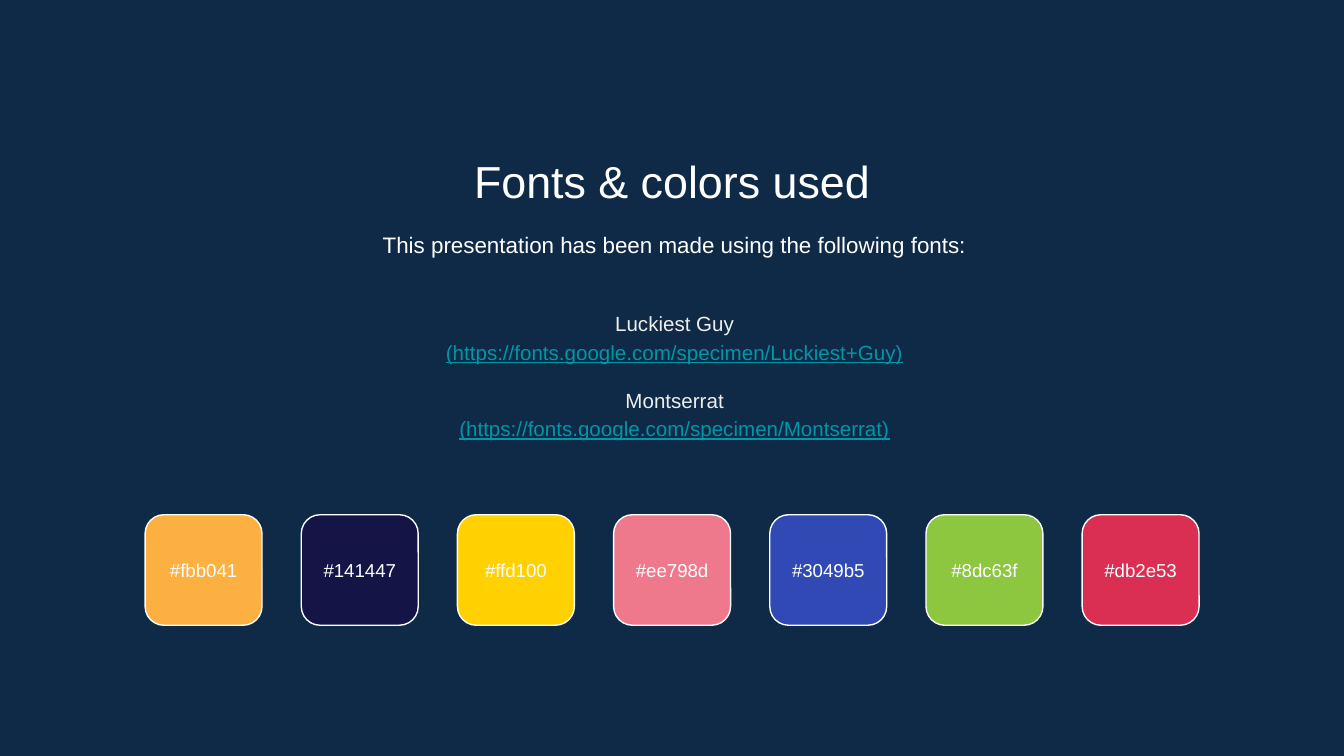
from pptx import Presentation
from pptx.dml.color import RGBColor
from pptx.enum.shapes import MSO_SHAPE
from pptx.enum.text import MSO_ANCHOR, PP_ALIGN
from pptx.util import Inches, Pt

SLIDE_WIDTH = Inches(10)
SLIDE_HEIGHT = SLIDE_WIDTH * 9 // 16
FONT = "Arial"
WHITE, PALE, TEAL, NAVY = "FFFFFF", "EEEEEE", "0097A7", "0E2A47"

PALETTE = ["fbb041", "141447", "ffd100", "ee798d", "3049b5", "8dc63f", "db2e53"]
FONT_SOURCES = [
    ("Luckiest Guy", "(https://fonts.google.com/specimen/Luckiest+Guy)"),
    ("Montserrat", "(https://fonts.google.com/specimen/Montserrat)"),
]

# Swatch row, in percent of the slide's width or height
SWATCH_LEFT, SWATCH_PITCH, SWATCH_WIDTH = 10.8, 11.62, 8.7
SWATCH_TOP, SWATCH_HEIGHT = 68.09, 14.62
LABEL_HEIGHT = 8.53
LABEL_TOP = SWATCH_TOP + (SWATCH_HEIGHT - LABEL_HEIGHT) / 2


def color(hex_code):
    return RGBColor.from_string(hex_code.upper())


def place(left, top, width, height):
    """Turn percentages of the slide into a box in EMU."""
    return (
        int(SLIDE_WIDTH * left / 100),
        int(SLIDE_HEIGHT * top / 100),
        int(SLIDE_WIDTH * width / 100),
        int(SLIDE_HEIGHT * height / 100),
    )


def style_paragraph(paragraph, size, hex_code, spacing=None, underline=None):
    paragraph.alignment = PP_ALIGN.CENTER
    paragraph.line_spacing = spacing
    for run in paragraph.runs:
        run.font.name = FONT
        run.font.size = Pt(size)
        run.font.color.rgb = color(hex_code)
        run.font.underline = underline


def add_text(slide, box, text, size, anchor=MSO_ANCHOR.TOP, spacing=None):
    """Add a centred white text box and return its frame."""
    frame = slide.shapes.add_textbox(*place(*box)).text_frame
    frame.word_wrap = True
    frame.vertical_anchor = anchor
    frame.margin_left = frame.margin_right = Inches(0.1)
    frame.margin_top = frame.margin_bottom = Inches(0.1)
    frame.text = text
    for paragraph in frame.paragraphs:
        style_paragraph(paragraph, size, WHITE, spacing)
    return frame


def add_font_list(slide, box):
    lines = [line for source in FONT_SOURCES for line in source]
    frame = add_text(slide, box, "\n".join(lines), 11, MSO_ANCHOR.MIDDLE, 1.15)
    names, links = frame.paragraphs[::2], frame.paragraphs[1::2]
    for name, link in zip(names, links):
        style_paragraph(name, 11, PALE, 1.15)
        style_paragraph(link, 11, TEAL, 1.15, underline=True)
    for name in names[1:]:
        name.space_before = Pt(10.7)


def add_swatch(slide, column, hex_code):
    left = SWATCH_LEFT + column * SWATCH_PITCH
    swatch = slide.shapes.add_shape(
        MSO_SHAPE.ROUNDED_RECTANGLE,
        *place(left, SWATCH_TOP, SWATCH_WIDTH, SWATCH_HEIGHT),
    )
    swatch.shadow.inherit = False
    swatch.adjustments[0] = 0.17
    swatch.fill.solid()
    swatch.fill.fore_color.rgb = color(hex_code)
    swatch.line.color.rgb = color(WHITE)
    swatch.line.width = Pt(0.75)
    label_box = (left, LABEL_TOP, SWATCH_WIDTH, LABEL_HEIGHT)
    add_text(slide, label_box, f"#{hex_code}", 10, MSO_ANCHOR.MIDDLE)


def main():
    deck = Presentation()
    deck.slide_width, deck.slide_height = SLIDE_WIDTH, SLIDE_HEIGHT
    slide = deck.slides.add_slide(deck.slide_layouts[6])
    slide.background.fill.solid()
    slide.background.fill.fore_color.rgb = color(NAVY)

    add_text(slide, (11.45, 18.54, 77.1, 9.42), "Fonts & colors used", 24)
    add_text(
        slide,
        (11.65, 28.3, 77.1, 8.53),
        "This presentation has been made using the following fonts:",
        12,
        spacing=1.15,
    )
    add_font_list(slide, (11.65, 37.33, 77.1, 24.36))
    for column, hex_code in enumerate(PALETTE):
        add_swatch(slide, column, hex_code)

    deck.save("out.pptx")


if __name__ == "__main__":
    main()
